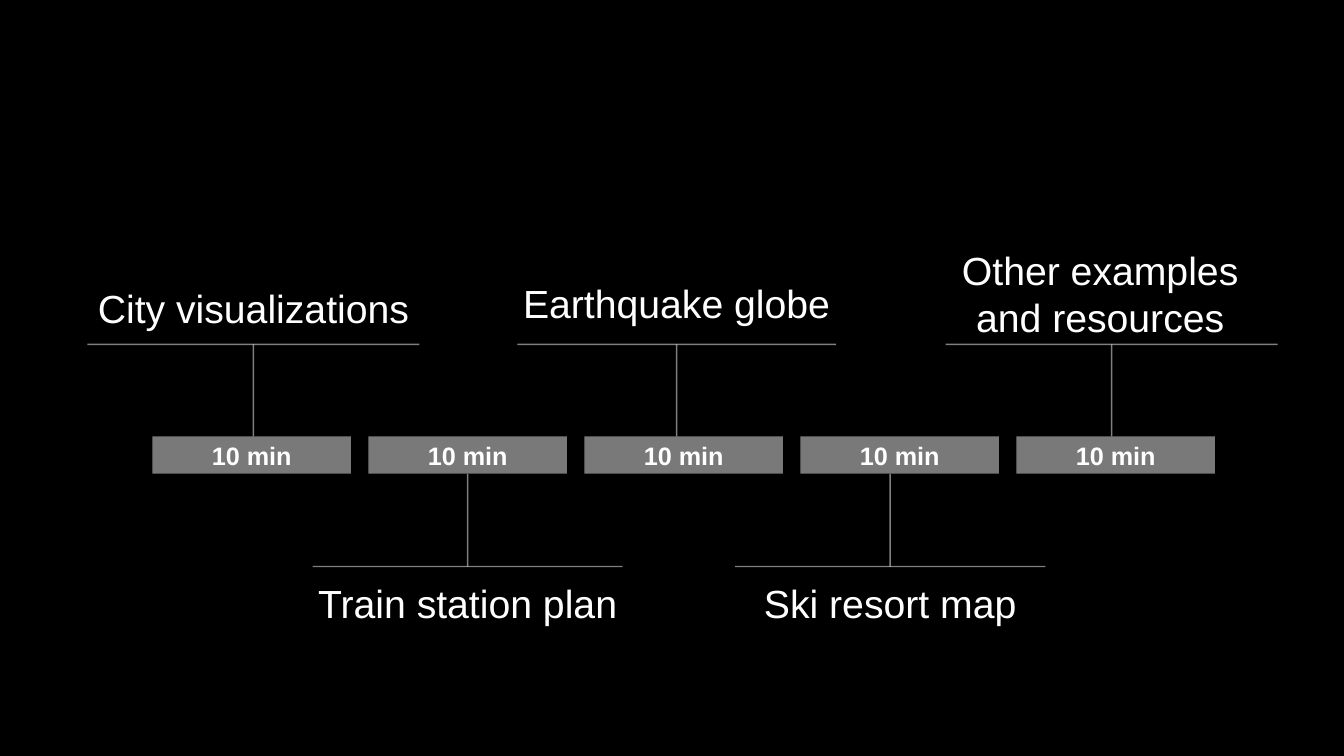
from lxml import etree
from pptx import Presentation
from pptx.dml.color import RGBColor
from pptx.enum import shapes, text
from pptx.oxml import ns
from pptx.util import Pt

BLACK = RGBColor(0x00, 0x00, 0x00)
WHITE = RGBColor(0xFF, 0xFF, 0xFF)
PALE_GRAY = RGBColor(0xF2, 0xF2, 0xF2)

BAR_LEFT, BAR_TOP, BAR_WIDTH, BAR_HEIGHT = 108.9, 311.8, 141.8, 26.6
BAR_PITCH = 154.3
BAR_BOTTOM = BAR_TOP + BAR_HEIGHT
UPPER_RULE, LOWER_RULE = 246, 404.7
LINE_HEIGHT = 33.8

TOPICS = [
    (["City visualizations"], 47.5, 203.2, 267, 62.5, 299.5, 181),
    (["Train station plan"], 222.5, 414, 223, 223.3, 444.8, 334),
    (["Earthquake globe"], 369.5, 199.6, 227.5, 369.5, 597.3, 483.3),
    (["Ski resort map"], 524.3, 414, 223, 525, 746.8, 635.8),
    (["Other examples", "and resources"], 652.3, 175.7, 267, 675.5, 912.6, 794),
]


def make_half_transparent(fill_parent):
    color = fill_parent.find(".//" + ns.qn("a:srgbClr"))
    etree.SubElement(color, ns.qn("a:alpha")).set("val", "50000")


def add_centered_run(paragraph, words, size, bold=False):
    paragraph.alignment = text.PP_ALIGN.CENTER
    run = paragraph.add_run()
    run.text = words
    run.font.name = "Arial"
    run.font.size = Pt(size)
    run.font.bold = bold
    run.font.color.rgb = WHITE


def add_duration_bar(slide, left, words):
    shape = slide.shapes.add_shape(
        shapes.MSO_SHAPE.RECTANGLE, Pt(left), Pt(BAR_TOP), Pt(BAR_WIDTH), Pt(BAR_HEIGHT)
    )
    shape.shadow.inherit = False
    shape.line.fill.background()
    shape.fill.solid()
    shape.fill.fore_color.rgb = PALE_GRAY
    make_half_transparent(shape.element.spPr)
    frame = shape.text_frame
    frame.word_wrap = False
    frame.vertical_anchor = text.MSO_ANCHOR.MIDDLE
    add_centered_run(frame.paragraphs[0], words, 18, bold=True)


def add_label(slide, lines, left, top, width):
    box = slide.shapes.add_textbox(
        Pt(left), Pt(top), Pt(width), Pt(LINE_HEIGHT * len(lines))
    )
    frame = box.text_frame
    frame.word_wrap = True
    frame.auto_size = text.MSO_AUTO_SIZE.SHAPE_TO_FIT_TEXT
    frame.margin_left = frame.margin_right = frame.margin_top = frame.margin_bottom = 0
    for index, words in enumerate(lines):
        paragraph = frame.add_paragraph() if index else frame.paragraphs[0]
        add_centered_run(paragraph, words, 28)


def add_line(slide, start_x, start_y, end_x, end_y):
    connector = slide.shapes.add_connector(
        shapes.MSO_CONNECTOR.STRAIGHT, Pt(start_x), Pt(start_y), Pt(end_x), Pt(end_y)
    )
    connector.line.width = Pt(1)
    connector.line.color.rgb = WHITE
    properties = connector.element.spPr
    make_half_transparent(properties)
    etree.SubElement(properties, ns.qn("a:effectLst"))


def main():
    presentation = Presentation()
    presentation.slide_width, presentation.slide_height = Pt(960), Pt(540)
    slide = presentation.slides.add_slide(presentation.slide_layouts[6])
    slide.background.fill.solid()
    slide.background.fill.fore_color.rgb = BLACK

    for index, topic in enumerate(TOPICS):
        lines, left, top, width, rule_start, rule_end, stem = topic
        add_duration_bar(slide, BAR_LEFT + index * BAR_PITCH, "10 min")
        add_label(slide, lines, left, top, width)
        is_above = index % 2 == 0
        rule = UPPER_RULE if is_above else LOWER_RULE
        add_line(slide, rule_start, rule, rule_end, rule)
        add_line(slide, stem, rule, stem, BAR_TOP if is_above else BAR_BOTTOM)

    presentation.save("out.pptx")


if __name__ == "__main__":
    main()
